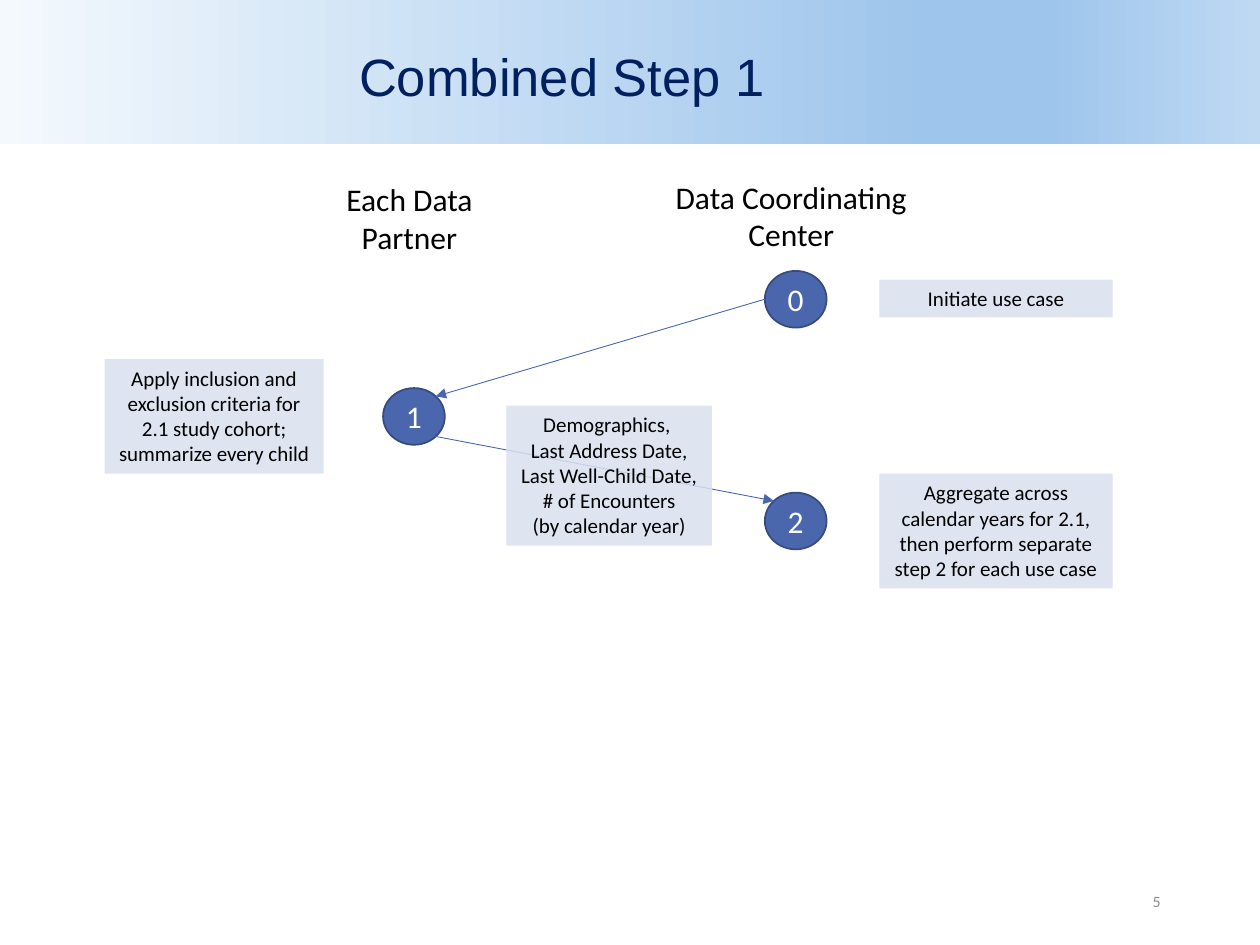
from copy import deepcopy
from dataclasses import dataclass
from math import cos, radians, sin

from lxml import etree
from pptx import Presentation
from pptx.dml.color import RGBColor
from pptx.enum.shapes import MSO_CONNECTOR, MSO_SHAPE
from pptx.enum.text import MSO_ANCHOR, MSO_AUTO_SIZE, PP_ALIGN
from pptx.oxml.ns import qn
from pptx.util import Inches, Pt

RECTANGLE, ELLIPSE = MSO_SHAPE.RECTANGLE, MSO_SHAPE.OVAL
STRAIGHT = MSO_CONNECTOR.STRAIGHT
TOP, MIDDLE = MSO_ANCHOR.TOP, MSO_ANCHOR.MIDDLE
LEFT, CENTER, RIGHT = PP_ALIGN.LEFT, PP_ALIGN.CENTER, PP_ALIGN.RIGHT
GROW, FIXED = MSO_AUTO_SIZE.SHAPE_TO_FIT_TEXT, MSO_AUTO_SIZE.NONE

NODE_WIDTH, NODE_HEIGHT = 0.49, 0.45
PARTNER_X, CENTER_X = 3.04, 6.07
NOTE_X, NOTE_WIDTH = 6.98, 1.85


@dataclass(frozen=True)
class Theme:
    title_font: str = "Arial"
    body_font: str = "Calibri"
    title_size: float = 30
    heading_size: float = 18
    note_size: float = 12
    number_size: float = 9
    title_color: str = "002060"
    text_color: str = "000000"
    node_text: str = "FFFFFF"
    number_color: str = "8C8C8C"
    node_fill: str = "4A66AC"
    node_line: str = "374B7F"
    note_fill: str = "DAE0EF"
    note_opacity: int = 85
    band_stops: tuple = ((0, "F4F9FD"), (0.74, "9EC5EC"), (0.83, "9EC5EC"), (1, "BFD9F3"))


class FlowSlide:
    """Draws the elements of a flow slide in one theme."""

    def __init__(self, deck, theme):
        self.theme = theme
        self.slide = deck.slides.add_slide(deck.slide_layouts[5])
        self.shapes = self.slide.shapes

    def set_text(self, shape, text, size, color, font=None, align=CENTER, anchor=TOP, fit=FIXED):
        frame = shape.text_frame
        frame_format = {"word_wrap": True, "auto_size": fit, "vertical_anchor": anchor}
        for name, value in frame_format.items():
            setattr(frame, name, value)
        para = frame.paragraphs[0]
        para.text = text
        para.alignment = align
        font_format = {"name": font or self.theme.body_font, "size": Pt(size)}
        for span in para.runs:
            for name, value in font_format.items():
                setattr(span.font, name, value)
            span.font.color.rgb = RGBColor.from_string(color)
        return para

    def shape(self, kind, left, top, width, height):
        shape = self.shapes.add_shape(kind, *map(Inches, (left, top, width, height)))
        shape.shadow.inherit = False
        shape.line.fill.background()
        return shape

    def fill(self, shape, color):
        shape.fill.solid()
        shape.fill.fore_color.rgb = RGBColor.from_string(color)

    def band(self, left, top, width, height):
        band = self.shape(RECTANGLE, left, top, width, height)
        band.fill.gradient()
        band.fill.gradient_angle = 0
        stop_list = next(band._element.iter(qn("a:gsLst")))
        for _ in range(len(self.theme.band_stops) - len(stop_list)):
            stop_list.append(deepcopy(stop_list[0]))
        for stop, (position, color) in zip(band.fill.gradient_stops, self.theme.band_stops):
            stop.position = position
            stop.color.rgb = RGBColor.from_string(color)
        self.shapes._spTree.insert(2, band._element)

    def title(self, text, left, top, width, height):
        title = self.shapes.title
        place = {"left": left, "top": top, "width": width, "height": height}
        for name, value in place.items():
            setattr(title, name, Inches(value))
        style = self.theme
        para = self.set_text(title, text, style.title_size, style.title_color,
                             style.title_font, LEFT, MIDDLE)
        para.line_spacing = 0.9

    def text(self, text, left, top, width, height, size, color, **layout):
        box = self.shapes.add_textbox(*map(Inches, (left, top, width, height)))
        self.set_text(box, text, size, color, **layout)

    def heading(self, text, left, top, width):
        self.text(text, left, top, width, 0.71, self.theme.heading_size,
                  self.theme.text_color, fit=GROW)

    def number(self, text, left, top, width, height):
        self.text(text, left, top, width, height, self.theme.number_size,
                  self.theme.number_color, align=RIGHT, anchor=MIDDLE)

    def node(self, text, left, top):
        node = self.shape(ELLIPSE, left, top, NODE_WIDTH, NODE_HEIGHT)
        self.fill(node, self.theme.node_fill)
        node.line.color.rgb = RGBColor.from_string(self.theme.node_line)
        node.line.width = Pt(1)
        self.set_text(node, text, self.theme.heading_size, self.theme.node_text, anchor=MIDDLE)
        return node

    def note(self, text, left, top, width, height):
        note = self.shape(RECTANGLE, left, top, width, height)
        self.fill(note, self.theme.note_fill)
        color = next(note._element.spPr.iter(qn("a:srgbClr")))
        etree.SubElement(color, qn("a:alpha"), val=str(self.theme.note_opacity * 1000))
        self.set_text(note, text, self.theme.note_size, self.theme.text_color, fit=GROW)

    def rim(self, node, degrees):
        angle = radians(degrees)
        return (int(node.left + node.width * (1 + cos(angle)) / 2),
                int(node.top + node.height * (1 + sin(angle)) / 2))

    def arrow(self, source, source_angle, target, target_angle):
        start, end = self.rim(source, source_angle), self.rim(target, target_angle)
        arrow = self.shapes.add_connector(STRAIGHT, *start, *end)
        arrow.line.color.rgb = RGBColor.from_string(self.theme.node_fill)
        arrow.line.width = Pt(0.5)
        properties = arrow._element.spPr
        etree.SubElement(properties.find(qn("a:ln")), qn("a:tailEnd"), type="triangle")
        etree.SubElement(properties, qn("a:effectLst"))


def main():
    deck = Presentation()
    deck.slide_width, deck.slide_height = Inches(10), Inches(7.5)
    page = FlowSlide(deck, Theme())

    page.band(0, -0.13, 10, 1.27)
    page.title("Combined Step 1", 2.75, -0.09, 6.66, 1.45)
    page.heading("Each Data Partner", 2.47, 1.38, 1.56)
    page.heading("Data Coordinating Center", 5.25, 1.36, 2.06)

    initiate = page.node("0", CENTER_X, 2.15)
    summarize = page.node("1", PARTNER_X, 3.08)
    aggregate = page.node("2", CENTER_X, 3.91)
    page.arrow(initiate, 180, summarize, -45)
    page.arrow(summarize, 45, aggregate, 225)

    page.note("Initiate use case", NOTE_X, 2.22, NOTE_WIDTH, 0.3)
    page.note("Apply inclusion and exclusion criteria for 2.1 study cohort; "
              "summarize every child", 0.83, 2.85, 1.74, 0.91)
    page.note("Demographics, \nLast Address Date, Last Well-Child Date, "
              "# of Encounters\n(by calendar year)", 4.02, 3.22, 1.63, 1.11)
    page.note("Aggregate across calendar years for 2.1, then perform separate "
              "step 2 for each use case", NOTE_X, 3.76, NOTE_WIDTH, 0.91)
    page.number("5", 7.06, 6.95, 2.25, 0.4)

    deck.save("out.pptx")


if __name__ == "__main__":
    main()
